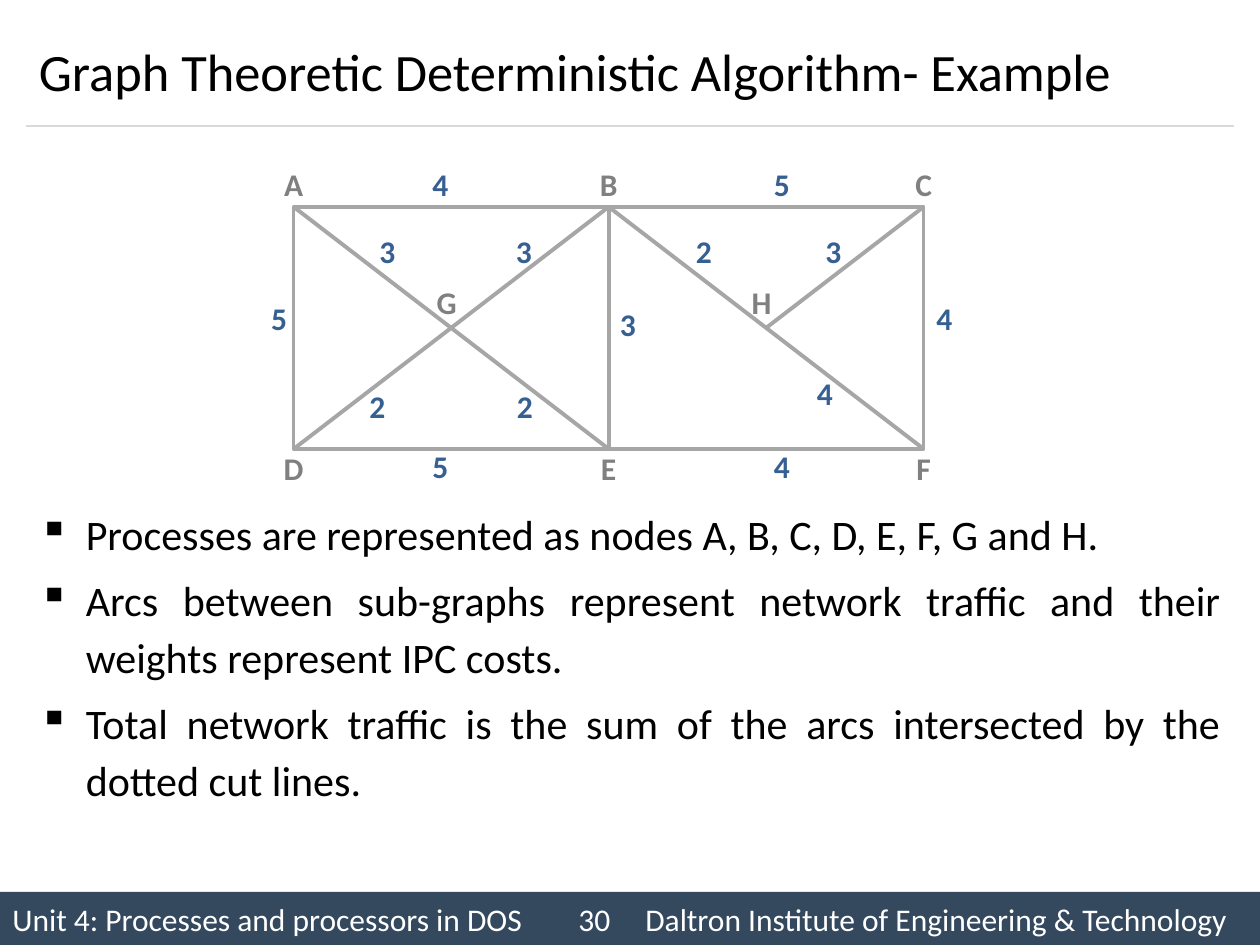
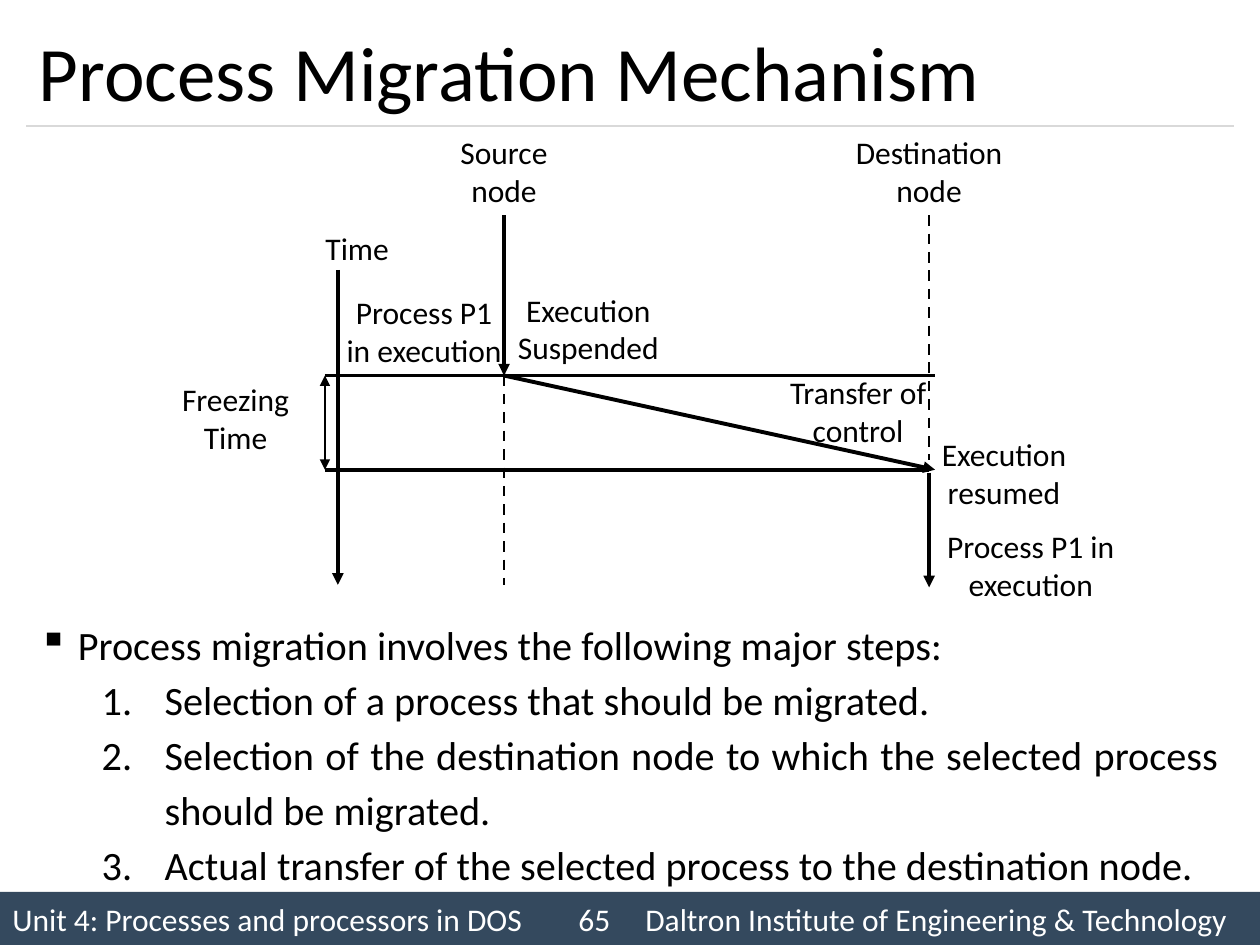
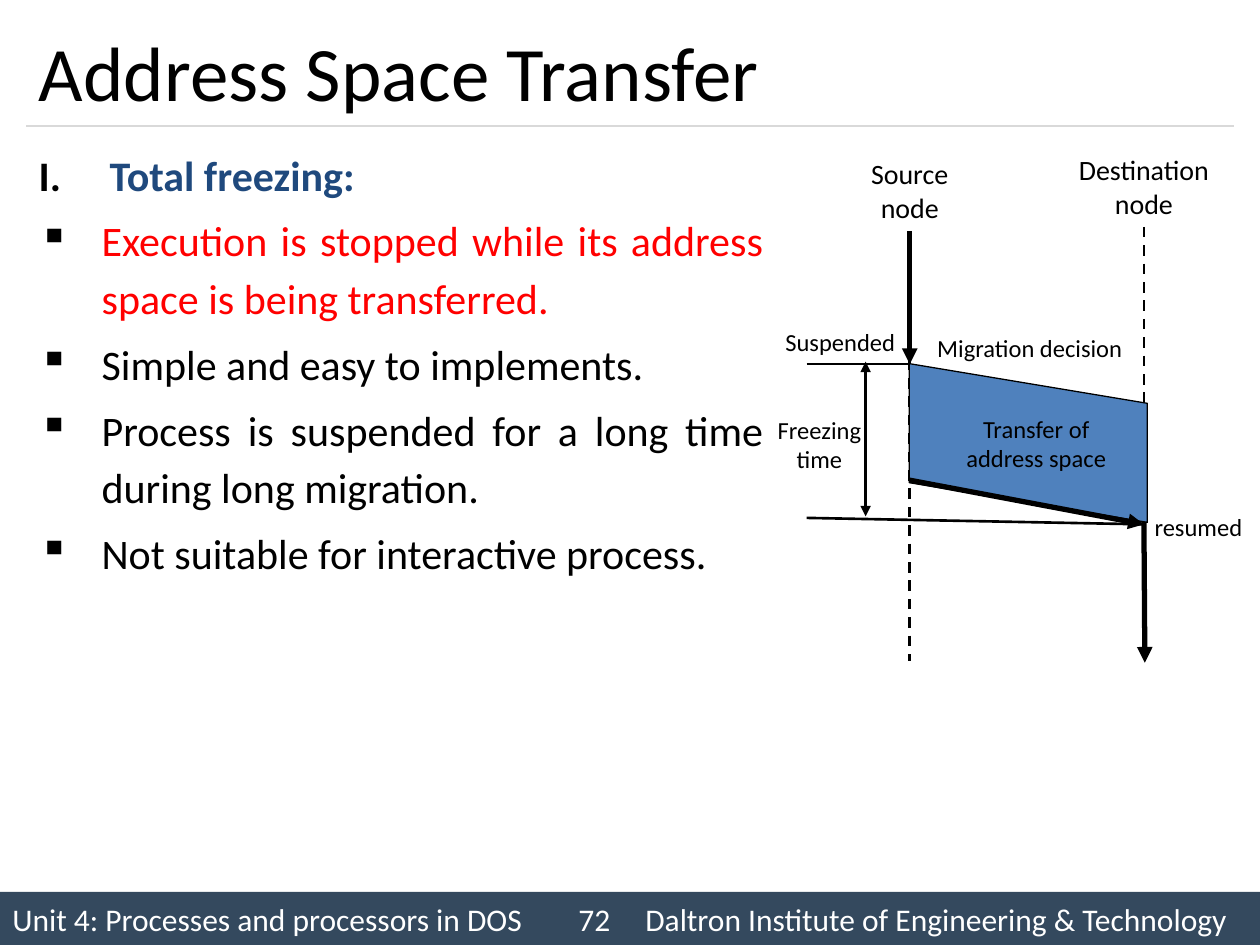
from dataclasses import dataclass

from lxml import etree
from pptx import Presentation
from pptx import util as u
from pptx.dml import color
from pptx.enum import dml, shapes, text
from pptx.oxml import ns

Cm = u.Cm


@dataclass(frozen=True)
class Theme:
    font: str = "Calibri"
    black: str = "000000"
    white: str = "FFFFFF"
    band: str = "34495E"
    rule: str = "D9D9D9"
    edge: str = "A6A6A6"
    node: str = "808080"
    cost: str = "376092"
    head: str = "1F497D"
    alert: str = "FF0000"
    block: str = "4F81BD"
    title: int = 44
    long: int = 30
    body: float = 24
    steps: float = 23
    label: int = 18
    mid: int = 16
    small: int = 14


T = Theme()
UNIT = "Unit 4: Processes and processors in DOS"
SCHOOL = "Daltron Institute of Engineering & Technology"


# Shared helpers
def rgb(code):
    return color.RGBColor.from_string(code)


def add(parent, tag, **attrs):
    return etree.SubElement(parent, ns.qn(tag), attrs)


def style(par, size, ink=T.black, bold=False):
    look = {"name": T.font, "size": u.Pt(size), "bold": bold}
    for run in par.runs:
        for key, val in look.items():
            setattr(run.font, key, val)
        run.font.color.rgb = rgb(ink)


def frame(shape, **opts):
    base = {"word_wrap": False, "auto_size": text.MSO_AUTO_SIZE.NONE,
            "vertical_anchor": text.MSO_ANCHOR.MIDDLE}
    for key, val in {**base, **opts}.items():
        setattr(shape.text_frame, key, val)
    return shape.text_frame


def write(shape, words, size, ink=T.black, bold=False,
          align=text.PP_ALIGN.CENTER, **opts):
    tf = frame(shape, **opts)
    tf.text = words
    for par in tf.paragraphs:
        par.alignment = align
        style(par, size, ink, bold)
    return tf


def paint(shape, fill, line=None, width=1):
    shape.shadow.inherit = False
    shape.fill.solid()
    shape.fill.fore_color.rgb = rgb(fill)
    if line:
        shape.line.color.rgb = rgb(line)
        shape.line.width = u.Pt(width)
    else:
        shape.line.fill.background()


@dataclass
class Pane:
    """A box on a slide; parts are placed in cm from its top left corner."""
    slide: object
    x: float
    y: float
    w: float
    h: float

    def box(self, kind, x, y, w, h):
        return self.slide.shapes.add_shape(
            kind, Cm(self.x + x), Cm(self.y + y), Cm(w), Cm(h))

    def label(self, words, x, y, w, size, ink=T.black, bold=False):
        """Text centred on the point x, y."""
        h = (words.count("\n") + 1) * size * 0.043 + 0.25
        box = self.slide.shapes.add_textbox(
            Cm(self.x + x - w / 2), Cm(self.y + y - h / 2), Cm(w), Cm(h))
        write(box, words, size, ink, bold)
        return box

    def line(self, start, end, width=2.25, ink=T.black, dash=False,
             head=False, tail=False, begin=None, finish=None):
        link = self.slide.shapes.add_connector(
            shapes.MSO_CONNECTOR.STRAIGHT,
            Cm(self.x + start[0]), Cm(self.y + start[1]),
            Cm(self.x + end[0]), Cm(self.y + end[1]))
        if begin:
            link.begin_connect(*begin)
        if finish:
            link.end_connect(*finish)
        link.line.color.rgb = rgb(ink)
        link.line.width = u.Pt(width)
        if dash:
            link.line.dash_style = dml.MSO_LINE.DASH
        ln = link.line._get_or_add_ln()
        for tag, on in (("a:headEnd", head), ("a:tailEnd", tail)):
            if on:
                add(ln, tag, type="triangle")
        add(ln.getparent(), "a:effectLst")
        return link


# Title, rule and footer band of every slide
def base(prs, title, page, size=T.title):
    slide = prs.slides.add_slide(prs.slide_layouts[5])
    pane = Pane(slide, 0, 0, 25.4, 19.05)

    band = pane.box(shapes.MSO_SHAPE.RECTANGLE, 0, 17.98, pane.w, 1.07)
    paint(band, T.band)
    tf = write(band, f"{UNIT}\t{page}\t{SCHOOL}", T.label, T.white,
               align=text.PP_ALIGN.LEFT)
    stops = add(tf.paragraphs[0]._p.get_or_add_pPr(), "a:tabLst")
    for pos in (11.41, 12.76):
        add(stops, "a:tab", pos=str(int(Cm(pos))), algn="l")

    pane.line((0.53, 2.54), (24.87, 2.54), 0.75, T.rule)

    head = slide.shapes.title
    spot = {"left": 0.53, "top": 0.3, "width": 24.33, "height": 2.24}
    for key, val in spot.items():
        setattr(head, key, Cm(val))
    write(head, title, size, align=text.PP_ALIGN.LEFT, word_wrap=True)
    return slide


# Bulleted text: items are (words, bullet, left, hang, font options)
def bullets(pane, items, size, gap=0):
    box = pane.slide.shapes.add_textbox(
        Cm(pane.x), Cm(pane.y), Cm(pane.w), Cm(pane.h))
    tf = frame(box, word_wrap=True, vertical_anchor=text.MSO_ANCHOR.TOP)
    for i, (words, mark, left, hang, look) in enumerate(items):
        par = tf.add_paragraph() if i else tf.paragraphs[0]
        par.text = words
        form = {"alignment": text.PP_ALIGN.JUSTIFY, "line_spacing": 1.14,
                "space_before": u.Pt(gap)}
        for key, val in form.items():
            setattr(par, key, val)
        style(par, size, **look)
        ppr = par._p.get_or_add_pPr()
        ppr.set("marL", str(int(Cm(left))))
        ppr.set("indent", str(-int(Cm(hang))))
        add(add(ppr, "a:buClr"), "a:srgbClr", val=T.black)
        if mark == "▪":
            add(ppr, "a:buChar", char=mark)
        else:
            add(ppr, "a:buAutoNum", type=mark)


# Weighted graph of processes
def graph(pane):
    rect = pane.box(shapes.MSO_SHAPE.RECTANGLE, 0, 0, pane.w, pane.h)
    paint(rect, T.white, T.edge, 2)

    # Nodes: column and row as shares of the box
    nodes = {"A": (0, 0), "B": (0.5, 0), "C": (1, 0),
             "D": (0, 1), "E": (0.5, 1), "F": (1, 1),
             "G": (0.25, 0.5), "H": (0.75, 0.5)}
    spots = {k: (c * pane.w, r * pane.h) for k, (c, r) in nodes.items()}
    joins = {"B": (rect, 0), "E": (rect, 2)}
    for a, b in ("BE", "AE", "BF", "BD", "CH"):
        pane.line(spots[a], spots[b], ink=T.edge,
                  begin=joins.get(a), finish=joins.get(b))

    shift = {0: (0, -0.46), 0.5: (-0.09, -0.53), 1: (0, 0.38)}
    for name, (x, y) in spots.items():
        dx, dy = shift[nodes[name][1]]
        pane.label(name, x + dx, y + dy, 0.84, T.label, T.node, True)

    # Costs, row by row
    rows = ((-0.46, ((4, 2.96), (5, 9.84))),
            (0.89, ((3, 1.89), (3, 4.64), (2, 8.27), (3, 10.88))),
            (2.24, ((5, -0.29), (4, 13.12))),
            (2.36, ((3, 6.74),)),
            (3.76, ((4, 10.71),)),
            (4.01, ((2, 1.69), (2, 4.66))),
            (5.23, ((5, 2.96), (4, 9.84))))
    for y, costs in rows:
        for cost, x in costs:
            pane.label(str(cost), x, y, 0.84, T.label, T.cost, True)


# Time chart of a migration
def flow(pane):
    left, time, src, dst, right = 3.15, 3.41, 6.76, 15.33, 15.45
    top, stop, go, end = 1.8, 5.03, 6.93, 9.25

    source = pane.label("Source\nnode", src, 0.9, 2.29, T.label)
    target = pane.label("Destination\nnode", dst, 0.9, 3.5, T.label)
    for words, x, y, w in (
            ("Time", 3.8, 2.46, 1.8),
            ("Freezing\nTime", 1.35, 5.88, 2.7),
            ("Execution\nSuspended", 8.46, 4.08, 3.5),
            ("Process P1\nin execution", 5.15, 4.13, 3.68),
            ("Transfer of\ncontrol", 13.9, 5.75, 3.56),
            ("Execution\nresumed", 16.84, 7, 3.05),
            ("Process P1 in\nexecution", 17.38, 8.85, 3.91)):
        pane.label(words, x, y, w, T.label)

    pane.line((time, 2.9), (time, end), tail=True)
    pane.line((src, top), (src, stop), tail=True, begin=(source, 2))
    pane.line((left, stop), (right, stop))
    pane.line((left, go), (dst, go))
    pane.line((dst, go + 0.06), (dst, end + 0.05), tail=True)
    pane.line((src, stop), (right, go), tail=True)
    pane.line((left, stop), (left, go), 1.5, head=True, tail=True)
    pane.line((src, stop), (src, end), 1.5, dash=True)
    pane.line((dst, top), (dst, 6.73), 1.5, dash=True, begin=(target, 2))


# Time chart of total freezing
def freeze(pane):
    left, span, src, dst = 0.86, 2.05, 2.94, 7.66
    top, stop, sent, go, end = 1.7, 4.39, 6.73, 7.62, 10.38

    source = pane.label("Source\nnode", src, 0.89, 2.08, T.mid)
    target = pane.label("Destination\nnode", dst, 0.81, 3.18, T.mid)
    pane.line((src, top), (src, end), 1.5, dash=True, begin=(source, 2))
    pane.line((dst, top), (dst, go), 1.5, dash=True, begin=(target, 2))

    # Transfer block, turned on its side
    w, h = 3.2, 4.8
    block = pane.box(shapes.MSO_SHAPE.PARALLELOGRAM,
                     5.33 - w / 2, 5.98 - h / 2, w, h)
    block.rotation = 270
    block.adjustments[0] = 0.25
    paint(block, T.block, T.black, 0.75)
    tf = write(block, "Transfer of\naddress space", T.small)
    tf._txBody.bodyPr.set("vert", "eaVert")

    pane.line((src, top), (src, stop), 3, tail=True, begin=(source, 2))
    pane.line((src, sent), (dst, go), 3, tail=True)
    pane.line((dst, go - 0.05), (dst + 0.02, end + 0.03), 3, tail=True)
    pane.line((left, stop), (src, stop), 1.5)
    pane.line((left, 7.49), (dst, go), 1.5)
    pane.line((span, stop - 0.05), (span, 7.46), 1.5, head=True, tail=True)

    for words, x, y, width in (
            ("Suspended", 1.54, 3.93, 2.74),
            ("Migration decision", 5.36, 4.06, 5.46),
            ("resumed", 8.76, 7.67, 2.29),
            ("Freezing\ntime", 1.12, 6, 2.21)):
        pane.label(words, x, y, width, T.small)


def main():
    prs = Presentation()
    prs.slide_width, prs.slide_height = Cm(25.4), Cm(19.05)

    # Graph example
    slide = base(prs, "Graph Theoretic Deterministic Algorithm- Example",
                 30, T.long)
    graph(Pane(slide, 5.92, 4.17, 12.7, 4.88))
    notes = ("Processes are represented as nodes A, B, C, D, E, F, G and H.",
             "Arcs between sub-graphs represent network traffic and their "
             "weights represent IPC costs.",
             "Total network traffic is the sum of the arcs intersected by "
             "the dotted cut lines.")
    bullets(Pane(slide, 0.53, 9.98, 24.33, 7.57),
            [(s, "▪", 0.95, 0.95, {}) for s in notes], T.body, 4.8)

    # Migration steps
    slide = base(prs, "Process Migration Mechanism", 65)
    flow(Pane(slide, 3.4, 2.54, 19.33, 9.75))
    steps = ("Selection of a process that should be migrated.",
             "Selection of the destination node to which the selected "
             "process should be migrated.",
             "Actual transfer of the selected process to the destination "
             "node.")
    lead = ("Process migration involves the following major steps:",
            "▪", 0.79, 0.79, {})
    bullets(Pane(slide, 0.53, 12.24, 24.33, 5.74),
            [lead] + [(s, "arabicPeriod", 2.54, 1.27, {}) for s in steps],
            T.steps)

    # Total freezing
    slide = base(prs, "Address Space Transfer", 72)
    points = (("Execution is stopped while its address space is being "
               "transferred.", {"ink": T.alert}),
              ("Simple and easy to implements.", {}),
              ("Process is suspended for a long time during long migration.",
               {}),
              ("Not suitable for interactive process.", {}))
    lead = ("Total freezing:", "romanUcPeriod", 1.43, 1.43,
            {"ink": T.head, "bold": True})
    bullets(Pane(slide, 0.53, 2.74, 15.11, 14.81),
            [lead] + [(s, "▪", 1.27, 1.27, look) for s, look in points],
            T.body, 4.8)
    freeze(Pane(slide, 15.4, 2.95, 9.9, 10.4))

    prs.save("out.pptx")


if __name__ == "__main__":
    main()
